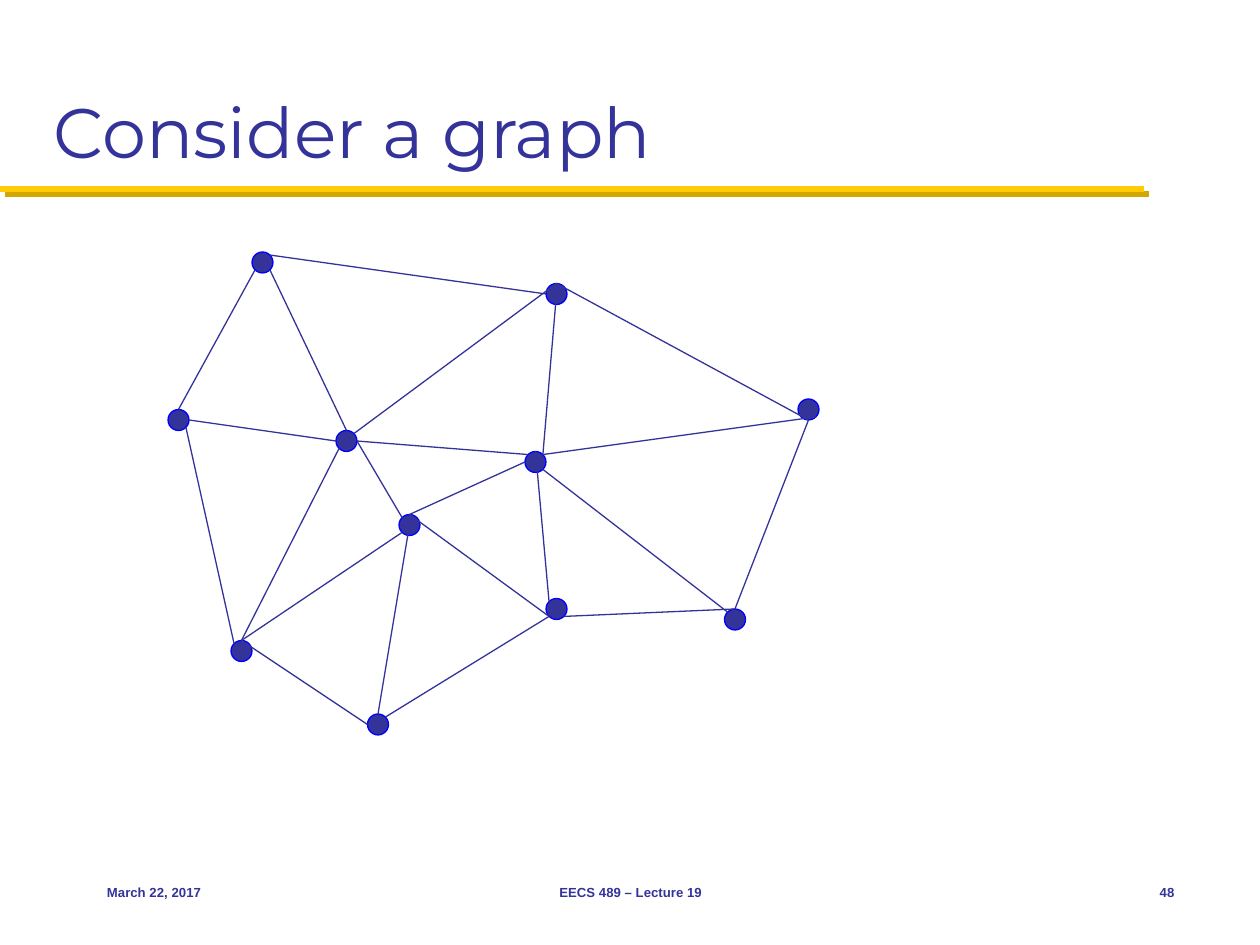
from dataclasses import dataclass
from math import sqrt

from lxml.etree import SubElement
from pptx import Presentation
from pptx.dml.color import RGBColor
from pptx.enum.shapes import MSO_CONNECTOR as Connector, MSO_SHAPE as Shape
from pptx.enum.text import MSO_ANCHOR as Anchor, PP_ALIGN as Align
from pptx.oxml.ns import qn
from pptx.util import Inches, Pt


@dataclass(frozen=True)
class Theme:
    ink: str = "333399"
    node_line: str = "0000FF"
    rule: str = "FFCB05"
    rule_shadow: str = "D3A600"
    title_font: str = "Montserrat"
    footer_font: str = "Arial"
    title_size: float = 40
    footer_size: float = 7.5
    thin: float = 0.75
    thick: float = 3.5


THEME = Theme()
GRID = 1 / 12
RADIUS = GRID
DIAGONAL = 1 / sqrt(2)

COMPASS = {
    "C": (0, 0), "N": (0, -1), "S": (0, 1), "W": (-1, 0), "E": (1, 0),
    "NW": (-DIAGONAL, -DIAGONAL), "NE": (DIAGONAL, -DIAGONAL),
    "SW": (-DIAGONAL, DIAGONAL), "SE": (DIAGONAL, DIAGONAL),
}

NODES = {
    "a": (25, 25), "b": (17, 40), "c": (53, 28), "d": (53, 58),
    "e": (36, 69), "f": (33, 42), "g": (77, 39), "h": (39, 50),
    "i": (23, 62), "j": (51, 44), "k": (70, 59),
}

EDGES = [
    ("a", "SE", "f", "N"), ("a", "SW", "b", "N"), ("b", "SE", "i", "NW"),
    ("f", "E", "h", "NW"), ("j", "SE", "k", "NW"), ("c", "C", "j", "NE"),
    ("c", "N", "g", "S"), ("g", "S", "k", "N"), ("i", "N", "e", "W"),
    ("h", "N", "d", "SW"), ("k", "N", "d", "SE"), ("j", "N", "d", "NW"),
    ("h", "C", "e", "N"), ("f", "E", "j", "NW"), ("b", "E", "f", "W"),
    ("i", "N", "h", "SW"), ("e", "NE", "d", "SW"), ("i", "N", "f", "SW"),
    ("h", "N", "j", "W"), ("j", "NE", "g", "SE"), ("a", "NE", "c", "W"),
    ("f", "NE", "c", "N"),
]

FOOTERS = [
    ("March 22, 2017", 0.75, 2.08, Align.LEFT),
    ("EECS 489 – Lecture 19", 3.42, 3.17, Align.CENTER),
    ("48", 8.75, 0.67, Align.RIGHT),
]


def set_attributes(target, values):
    for name, value in values.items():
        setattr(target, name, value)


def add_text(slide, text, box, color, font, frame, align=Align.LEFT):
    shape = slide.shapes.add_textbox(*map(Inches, box))
    set_attributes(shape.text_frame, frame)
    paragraph = shape.text_frame.paragraphs[0]
    paragraph.alignment = align
    run = paragraph.add_run()
    run.text = text
    set_attributes(run.font, font)
    run.font.color.rgb = RGBColor.from_string(color)


def add_line(shapes, start, end, color, width):
    line = shapes.add_connector(Connector.STRAIGHT, *map(Inches, (*start, *end)))
    line.line.color.rgb = RGBColor.from_string(color)
    line.line.width = Pt(width)
    effects = SubElement(line._element.spPr, qn("a:effectLst"))
    return effects


def add_title_rule(slide):
    effects = add_line(slide.shapes, (0, 1.5), (9.08, 1.5), THEME.rule, THEME.thick)
    shadow = SubElement(effects, qn("a:outerShdw"), dist=str(Pt(4.2)),
                        dir=str(45 * 60000), algn="ctr", rotWithShape="0")
    SubElement(shadow, qn("a:srgbClr"), val=THEME.rule_shadow)


def add_node(shapes, column, row):
    left, top = column * GRID - RADIUS, row * GRID - RADIUS
    node = shapes.add_shape(Shape.OVAL, *map(Inches, (left, top, 2 * RADIUS, 2 * RADIUS)))
    node.shadow.inherit = False
    node.fill.solid()
    node.fill.fore_color.rgb = RGBColor.from_string(THEME.ink)
    node.line.color.rgb = RGBColor.from_string(THEME.node_line)
    node.line.width = Pt(THEME.thin)


def anchor_point(name, side):
    return [GRID * center + RADIUS * offset
            for center, offset in zip(NODES[name], COMPASS[side])]


def add_graph(slide):
    shapes = slide.shapes.add_group_shape().shapes
    for column, row in NODES.values():
        add_node(shapes, column, row)
    for first, first_side, second, second_side in EDGES:
        add_line(shapes, anchor_point(first, first_side),
                 anchor_point(second, second_side), THEME.ink, THEME.thin)


def add_footers(slide):
    font = {"name": THEME.footer_font, "size": Pt(THEME.footer_size), "bold": True}
    frame = {"word_wrap": False, "vertical_anchor": Anchor.MIDDLE}
    for text, left, width, align in FOOTERS:
        add_text(slide, text, (left, 6.83, width, 0.5), THEME.ink, font, frame, align)


def main():
    presentation = Presentation()
    set_attributes(presentation, {"slide_width": Inches(10), "slide_height": Inches(7.5)})
    slide = presentation.slides.add_slide(presentation.slide_layouts[6])
    add_title_rule(slide)
    add_text(slide, "Consider a graph", (0.33, 0.17, 9.33, 1.25), THEME.ink,
             {"name": THEME.title_font, "size": Pt(THEME.title_size)},
             {"word_wrap": True, "vertical_anchor": Anchor.BOTTOM})
    add_graph(slide)
    add_footers(slide)
    presentation.save("out.pptx")


if __name__ == "__main__":
    main()
